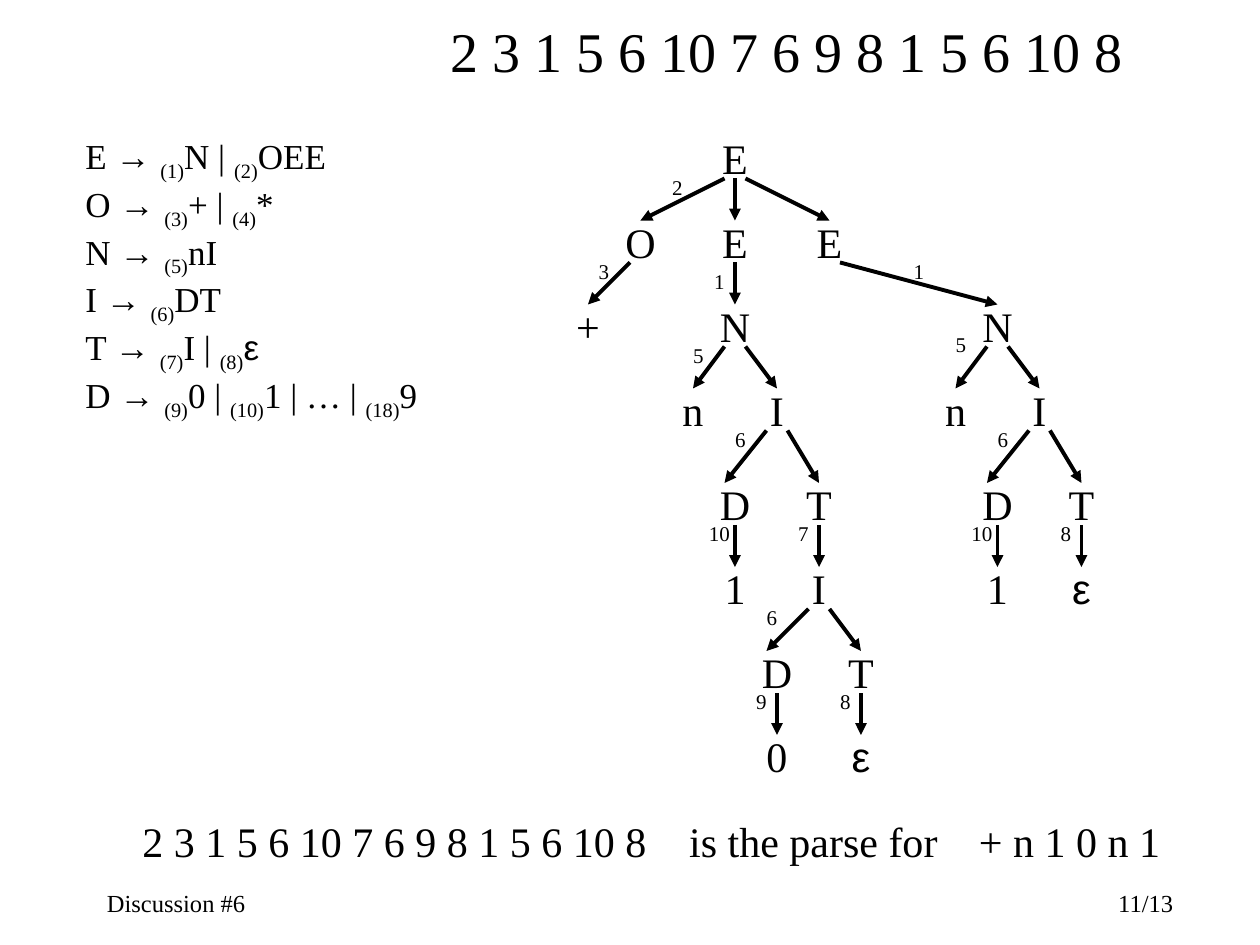
"""Build the parse-tree slide with its grammar and parse sequence."""
from typing import NamedTuple

from lxml import etree
from pptx import Presentation
from pptx.dml.color import RGBColor
from pptx.enum.shapes import MSO_CONNECTOR
from pptx.enum.text import MSO_ANCHOR, MSO_AUTO_SIZE, PP_ALIGN
from pptx.oxml.ns import qn
from pptx.util import Inches, Pt

LEFT, CENTER, RIGHT = PP_ALIGN.LEFT, PP_ALIGN.CENTER, PP_ALIGN.RIGHT
MIDDLE = MSO_ANCHOR.MIDDLE
FIT_TEXT = MSO_AUTO_SIZE.SHAPE_TO_FIT_TEXT
STRAIGHT = MSO_CONNECTOR.STRAIGHT

UNITS_PER_INCH = 12
LEVEL_TOPS = (12, 20, 28, 36, 45, 53, 61, 69)
PARSE = "2 3 1 5 6 10 7 6 9 8 1 5 6 10 8"
GRAMMAR = (
    ("E", ((1, "N"), (2, "OEE"))),
    ("O", ((3, "+"), (4, "*"))),
    ("N", ((5, "nI"),)),
    ("I", ((6, "DT"),)),
    ("T", ((7, "I"), (8, "ε"))),
    ("D", ((9, "0"), (10, "1 | …"), (18, "9"))),
)


class Node(NamedTuple):
    symbol: str
    offset: int = 0
    rule: int = 0
    children: tuple = ()
    nudge: tuple = (0, 0)
    tip_shift: int = 0


def digit(rule, value):
    return Node("D", -4, rule, (Node(value),), tip_shift=-1)


def empty_tail():
    return Node("T", 4, 8, (Node("ε"),))


def number(offset, integer, nudge=(0, 0)):
    return Node("N", offset, 5, (Node("n", -4), integer), nudge)


def parse_tree():
    last_digit = Node("I", 0, 6, (digit(9, "0"), empty_tail()), (-1, 0))
    ten = Node("I", 4, 6, (digit(10, "1"), Node("T", 4, 7, (last_digit,))))
    one = Node("I", 4, 6, (digit(10, "1"), empty_tail()))
    operator = Node("O", -9, 3, (Node("+", -5),))
    first = Node("E", 0, 1, (number(0, ten),), (0, 1))
    second = Node("E", 9, 1, (number(16, one, (0, -1)),), (12, 0))
    return Node("E", 0, 2, (operator, first, second), (-2, 0))


def color(value):
    return RGBColor.from_string(value)


def grid(units):
    return Inches(units / UNITS_PER_INCH)


class SlideWriter:
    def __init__(self, slide):
        self.slide = slide
        self.ink = "000000"
        self.serif = "Times New Roman"
        self.sans = "Arial"

    def text_box(self, left, top, width, height, size, align=LEFT):
        box = self.slide.shapes.add_textbox(left, top, width, height)
        box.text_frame.word_wrap = True
        paragraph = box.text_frame.paragraphs[0]
        paragraph.alignment = align
        paragraph.font.size = Pt(size)
        paragraph.font.color.rgb = color(self.ink)
        return box.text_frame, paragraph

    def label(self, text, left, top, width, height, size, align=CENTER, before=0):
        frame, paragraph = self.text_box(left, top, width, height, size, align)
        paragraph.text = text
        paragraph.font.name = self.sans if text == "ε" else self.serif
        if before:
            paragraph.space_before = Pt(before)
            frame.auto_size = FIT_TEXT
        return frame, paragraph

    def tabbed_line(self, parts, stops, indent, *place, **style):
        frame, paragraph = self.label("\t".join(parts), *place, align=LEFT, **style)
        frame.margin_left = indent
        tabs = etree.Element(qn("a:tabLst"))
        for stop in stops:
            etree.SubElement(tabs, qn("a:tab"), pos=str(stop), algn="l")
        paragraph._p.pPr.find(qn("a:defRPr")).addprevious(tabs)

    def grammar(self, productions, *place):
        frame, paragraph = self.text_box(*place)
        frame.vertical_anchor = MIDDLE

        def add(text, subscript=False):
            run = paragraph.add_run()
            run.text = text
            run.font.name = self.sans if text in ("→ ", "ε") else self.serif
            if subscript:
                run._r.get_or_add_rPr().set("baseline", "-25000")

        for row, (head, choices) in enumerate(productions):
            if row:
                paragraph.add_line_break()
            add(f"{head} ")
            add("→ ")
            for index, (rule, body) in enumerate(choices):
                if index:
                    add(" | ")
                add(f"({rule})", subscript=True)
                add(body)

    def arrow(self, start_x, start_y, end_x, end_y):
        edge = self.slide.shapes.add_connector(
            STRAIGHT, grid(start_x), grid(start_y), grid(end_x), grid(end_y))
        edge.line.color.rgb = color(self.ink)
        edge.line.width = Pt(2.25)
        etree.SubElement(edge.line._get_or_add_ln(), qn("a:tailEnd"), type="triangle")
        etree.SubElement(edge._element.spPr, qn("a:effectLst"))

    def tree(self, node, column, level=0):
        top = LEVEL_TOPS[level]
        self.label(node.symbol, grid(column - 3), grid(top), Inches(0.5), Inches(0.5),
                   24, before=15)
        for child in node.children:
            target = column + child.offset
            side = (child.offset > 0) - (child.offset < 0)
            self.arrow(column + side, top + 5,
                       target + child.tip_shift, LEVEL_TOPS[level + 1] + 1)
            self.tree(child, target, level + 1)
        if node.rule:
            straight = len(node.children) == 1 and node.children[0].offset == 0
            across, down = node.nudge
            self.label(str(node.rule), grid(column + (-4 if straight else -6) + across),
                       grid(top + 4 + down), Inches(0.42), Inches(0.3), 12, before=7.5)


def main():
    deck = Presentation()
    deck.slide_width, deck.slide_height = Inches(10), Inches(7.5)
    writer = SlideWriter(deck.slides.add_slide(deck.slide_layouts[6]))
    for text, left, align in (("Discussion #6", 0.75, LEFT), ("11/13", 7.33, RIGHT)):
        writer.label(text, Inches(left), Inches(7), Inches(2.08), Inches(0.33), 14, align)
    writer.grammar(GRAMMAR, Inches(0.58), Inches(1.08), Inches(3.17), Inches(2.25), 20)
    writer.label(PARSE, Inches(3.33), Inches(0.08), Inches(5.83), Inches(0.64), 32,
                 before=20)
    writer.tabbed_line((PARSE, "is the parse for", "+ n 1 0 n 1"),
                       (Inches(4.34), Inches(6.64)), Inches(0.21),
                       Inches(0.92), Inches(6.42), Inches(8.5), Inches(0.5),
                       size=24, before=15)
    writer.tree(parse_tree(), column=70)
    deck.save("out.pptx")


if __name__ == "__main__":
    main()
